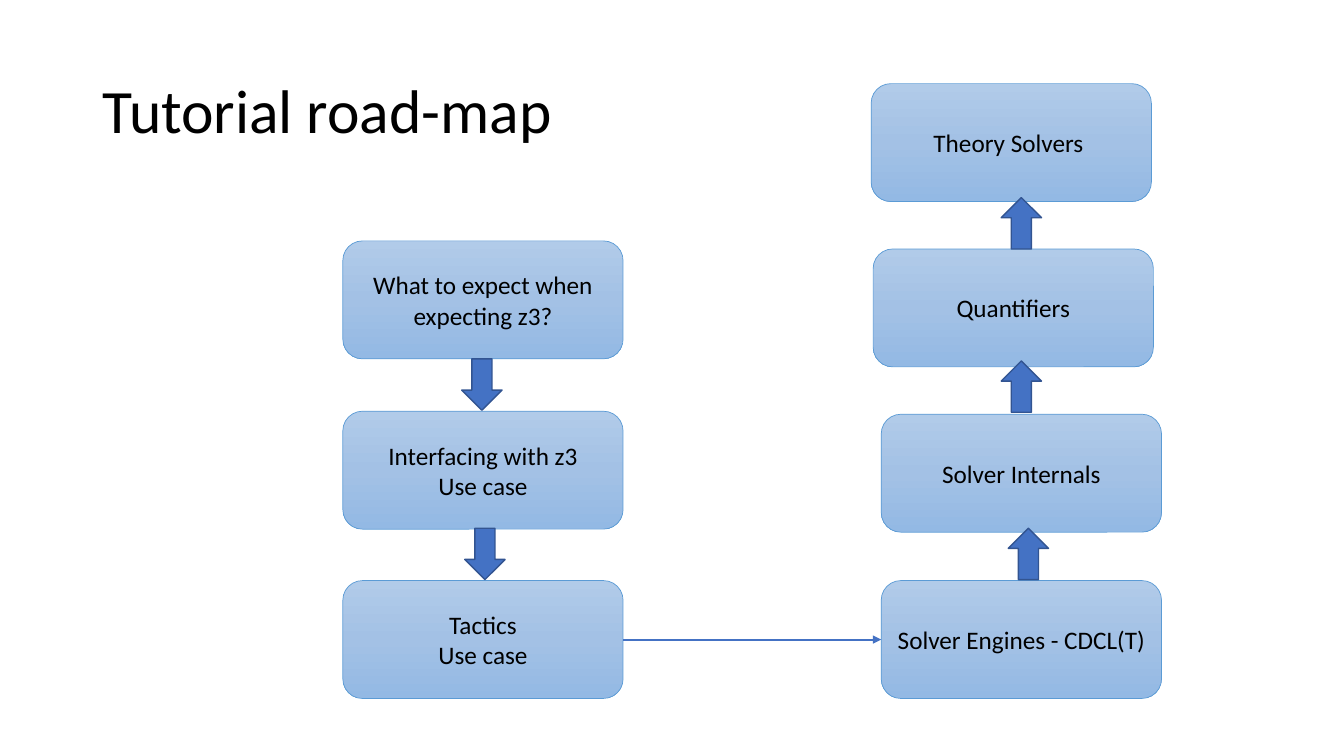
from copy import deepcopy

from lxml.etree import SubElement
from pptx import Presentation
from pptx.dml.color import RGBColor
from pptx.enum.shapes import MSO_CONNECTOR, MSO_SHAPE
from pptx.enum.text import MSO_ANCHOR, MSO_AUTO_SIZE, PP_ALIGN
from pptx.oxml.ns import qn
from pptx.util import Inches, Pt


def color(value):
    return RGBColor.from_string(value)


class RoadMap:
    FONT = "Calibri"
    TEXT = "000000"
    GRADIENT = [(0, "B1CBE9"), (0.5, "A3C1E5"), (1, "93B9E4")]
    BOX_LINE = "5B9BD5"
    ARROW_FILL = "4472C4"
    ARROW_LINE = "325491"
    BOX_WIDTH, BOX_HEIGHT = 2.78, 1.17
    ARROW_WIDTH, ARROW_HEIGHT = 0.4, 0.51

    def __init__(self, page):
        self.page = page

    def add_text(self, para, text, size, align):
        para.alignment = align
        span = para.add_run()
        span.text = text
        span.font.name = self.FONT
        span.font.size = Pt(size)
        span.font.color.rgb = color(self.TEXT)

    def title(self, text):
        title = self.page.shapes.title
        title.left, title.top = Inches(0.92), Inches(0.4)
        title.width, title.height = Inches(11.5), Inches(1.45)
        frame = title.text_frame
        frame.word_wrap = True
        frame.auto_size = MSO_AUTO_SIZE.NONE
        frame.vertical_anchor = MSO_ANCHOR.MIDDLE
        frame.paragraphs[0].line_spacing = 0.9
        self.add_text(frame.paragraphs[0], text, 44, PP_ALIGN.LEFT)

    def shape(self, kind, left, top, width, height, line, line_width):
        shape = self.page.shapes.add_shape(
            kind, Inches(left), Inches(top), Inches(width), Inches(height))
        shape.shadow.inherit = False
        shape.line.color.rgb = color(line)
        shape.line.width = Pt(line_width)
        return shape

    def box(self, left, top, lines):
        box = self.shape(MSO_SHAPE.ROUNDED_RECTANGLE, left, top,
                         self.BOX_WIDTH, self.BOX_HEIGHT, self.BOX_LINE, 0.5)
        box.fill.gradient()
        box.fill.gradient_angle = 270
        # A new gradient has two stops; add the middle one
        first = box.element.spPr.find(".//" + qn("a:gs"))
        first.addnext(deepcopy(first))
        for stop, (position, value) in zip(box.fill.gradient_stops, self.GRADIENT):
            stop.position = position
            stop.color.rgb = color(value)

        frame = box.text_frame
        frame.word_wrap = True
        frame.vertical_anchor = MSO_ANCHOR.MIDDLE
        for index, text in enumerate(lines):
            para = frame.add_paragraph() if index else frame.paragraphs[0]
            self.add_text(para, text, 18, PP_ALIGN.CENTER)
        return box

    def block_arrow(self, left, top, rotation):
        arrow = self.shape(MSO_SHAPE.DOWN_ARROW, left, top, self.ARROW_WIDTH,
                           self.ARROW_HEIGHT, self.ARROW_LINE, 1)
        arrow.rotation = rotation
        arrow.fill.solid()
        arrow.fill.fore_color.rgb = color(self.ARROW_FILL)

    def link(self, source, target):
        link = self.page.shapes.add_connector(MSO_CONNECTOR.ELBOW, 0, 0, 0, 0)
        link.begin_connect(source, 3)
        link.end_connect(target, 1)
        link.line.color.rgb = color(self.ARROW_FILL)
        link.line.width = Pt(1.5)
        properties = link.element.spPr
        SubElement(properties.find(qn("a:ln")), qn("a:tailEnd"), type="triangle")
        SubElement(properties, qn("a:effectLst"))


def main():
    deck = Presentation()
    deck.slide_width, deck.slide_height = Inches(13.33), Inches(7.5)
    page = deck.slides.add_slide(deck.slide_layouts[5])
    road_map = RoadMap(page)
    road_map.title("Tutorial road-map")

    # Left column: using the solver, top to bottom
    usage = [
        ["What to expect when expecting z3?"],
        ["Interfacing with z3", "Use case"],
        ["Tactics", "Use case"],
    ]
    for lines, top in zip(usage, (2.39, 4.08, 5.76)):
        tactics = road_map.box(3.4, top, lines)

    # Right column: inside the solver, top to bottom
    internals = [
        (8.64, 0.83, "Theory Solvers "),
        (8.66, 2.47, "Quantifiers"),
        (8.74, 4.11, "Solver Internals"),
        (8.74, 5.76, "Solver Engines - CDCL(T)"),
    ]
    for left, top, text in internals:
        engines = road_map.box(left, top, [text])

    # Block arrows between the steps
    for left, top, rotation in [(4.58, 3.56, 0), (4.61, 5.24, 0),
                                (9.93, 1.96, 180), (9.93, 3.58, 180),
                                (10, 5.24, 180)]:
        road_map.block_arrow(left, top, rotation)

    # Link from the left column to the right one
    road_map.link(tactics, engines)

    deck.save("out.pptx")


if __name__ == "__main__":
    main()
